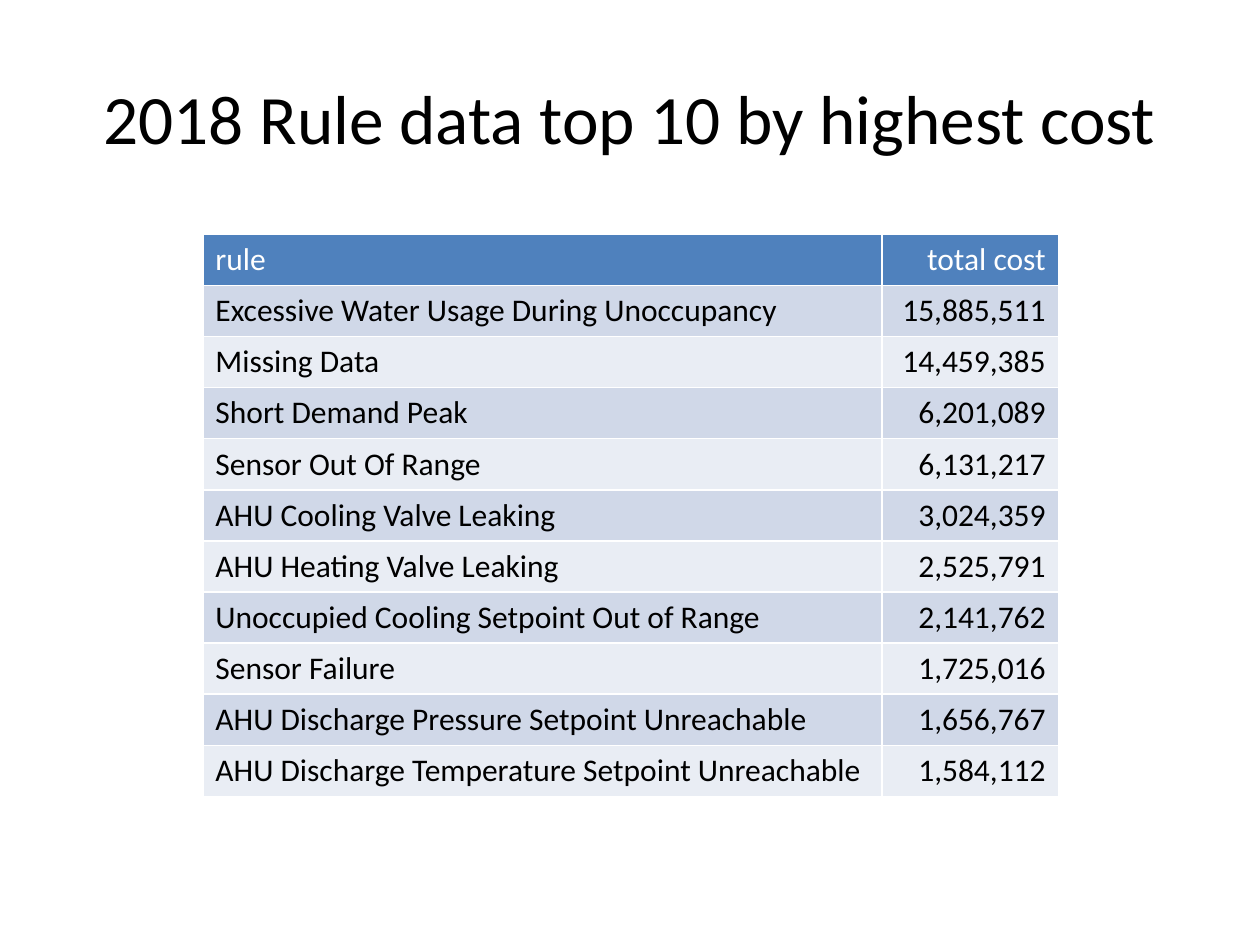
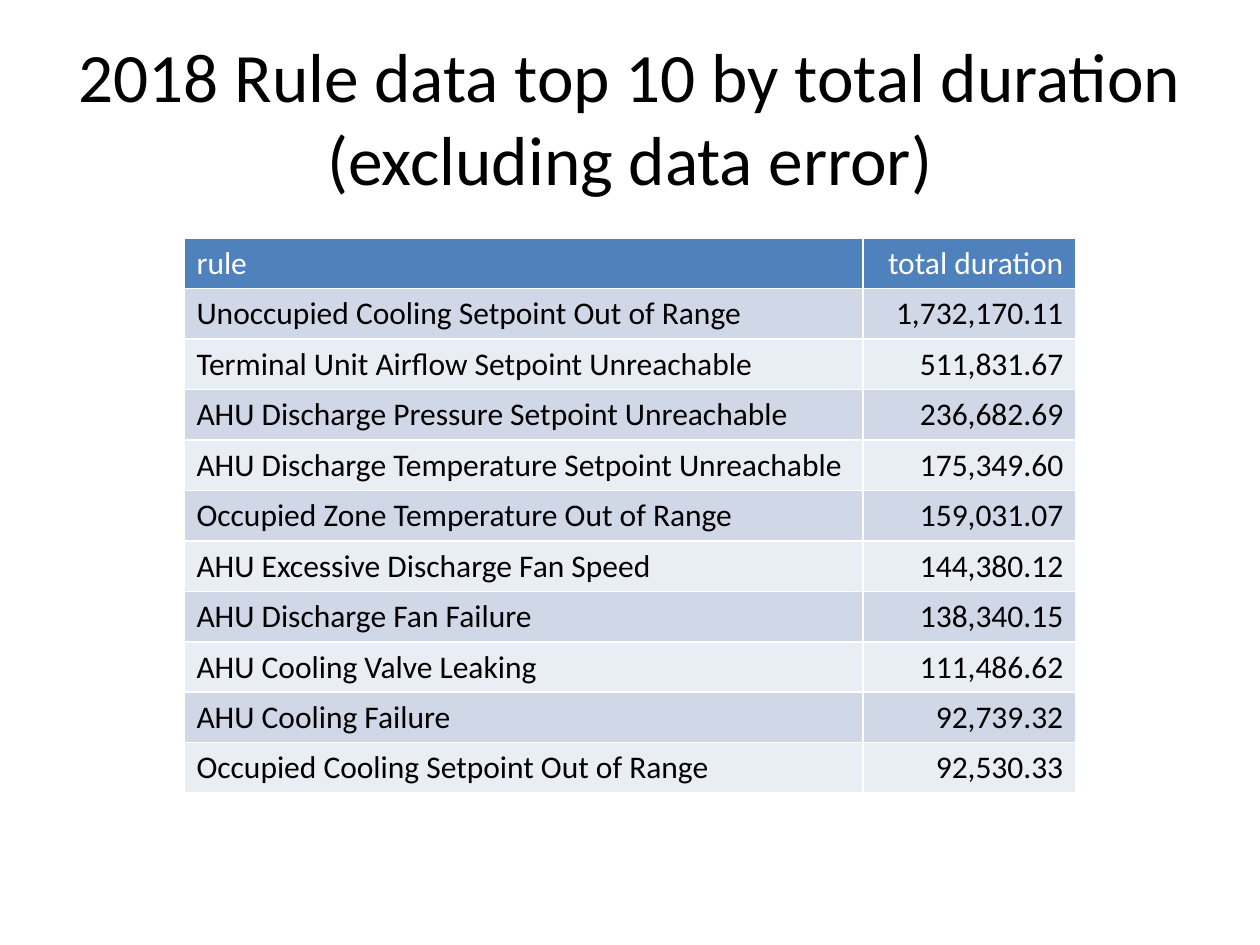
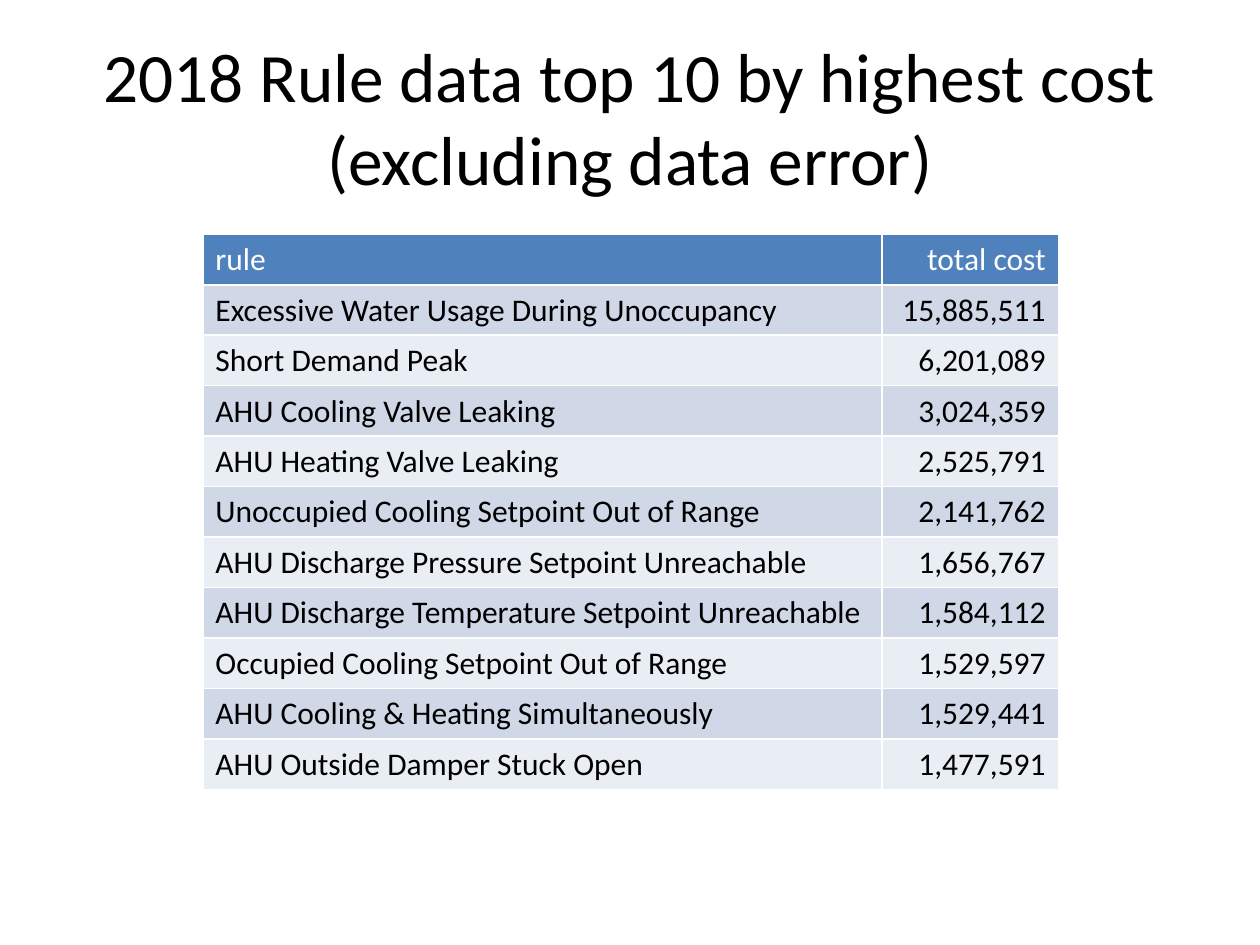
from pptx import Presentation
from pptx import util as u
from pptx.dml import color
from pptx.enum import text

FONT = "Calibri"
BLACK = color.RGBColor(0x00, 0x00, 0x00)
WHITE = color.RGBColor(0xFF, 0xFF, 0xFF)
HEADER_BLUE = color.RGBColor(0x4F, 0x81, 0xBD)
BAND_DARK = color.RGBColor(0xD0, 0xD8, 0xE8)
BAND_LIGHT = color.RGBColor(0xE9, 0xED, 0xF4)

RULE_WIDTH = 5.39
ROW_HEIGHT = 0.4

rankings = [
    ("2018 Rule data top 10 by highest cost", 1.61, 1.86, 1.4, [
        ("rule", "total cost"),
        ("Excessive Water Usage During Unoccupancy", "15,885,511"),
        ("Missing Data", "14,459,385"),
        ("Short Demand Peak", "6,201,089"),
        ("Sensor Out Of Range", "6,131,217"),
        ("AHU Cooling Valve Leaking", "3,024,359"),
        ("AHU Heating Valve Leaking", "2,525,791"),
        ("Unoccupied Cooling Setpoint Out of Range", "2,141,762"),
        ("Sensor Failure", "1,725,016"),
        ("AHU Discharge Pressure Setpoint Unreachable", "1,656,767"),
        ("AHU Discharge Temperature Setpoint Unreachable", "1,584,112"),
    ]),
    ("2018 Rule data top 10 by total duration (excluding data error)", 1.46, 1.89, 1.69, [
        ("rule", "total duration"),
        ("Unoccupied Cooling Setpoint Out of Range", "1,732,170.11"),
        ("Terminal Unit Airflow Setpoint Unreachable", "511,831.67"),
        ("AHU Discharge Pressure Setpoint Unreachable", "236,682.69"),
        ("AHU Discharge Temperature Setpoint Unreachable", "175,349.60"),
        ("Occupied Zone Temperature Out of Range", "159,031.07"),
        ("AHU Excessive Discharge Fan Speed", "144,380.12"),
        ("AHU Discharge Fan Failure", "138,340.15"),
        ("AHU Cooling Valve Leaking", "111,486.62"),
        ("AHU Cooling Failure", "92,739.32"),
        ("Occupied Cooling Setpoint Out of Range", "92,530.33"),
    ]),
    ("2018 Rule data top 10 by highest cost (excluding data error)", 1.61, 1.86, 1.4, [
        ("rule", "total cost"),
        ("Excessive Water Usage During Unoccupancy", "15,885,511"),
        ("Short Demand Peak", "6,201,089"),
        ("AHU Cooling Valve Leaking", "3,024,359"),
        ("AHU Heating Valve Leaking", "2,525,791"),
        ("Unoccupied Cooling Setpoint Out of Range", "2,141,762"),
        ("AHU Discharge Pressure Setpoint Unreachable", "1,656,767"),
        ("AHU Discharge Temperature Setpoint Unreachable", "1,584,112"),
        ("Occupied Cooling Setpoint Out of Range", "1,529,597"),
        ("AHU Cooling & Heating Simultaneously", "1,529,441"),
        ("AHU Outside Damper Stuck Open", "1,477,591"),
    ]),
]


def write_paragraph(frame, content, size, font_color, alignment):
    paragraph = frame.paragraphs[0]
    paragraph.text = content
    paragraph.alignment = alignment
    paragraph.font.name = FONT
    paragraph.font.size = u.Pt(size)
    paragraph.font.bold = False
    paragraph.font.color.rgb = font_color


presentation = Presentation()
presentation.slide_width = u.Inches(10)
presentation.slide_height = u.Inches(7.5)

for title, left, top, value_width, rows in rankings:
    slide = presentation.slides.add_slide(presentation.slide_layouts[6])

    table = slide.shapes.add_table(
        len(rows), 2, u.Inches(left), u.Inches(top),
        u.Inches(RULE_WIDTH + value_width), u.Inches(ROW_HEIGHT * len(rows))).table
    table.columns[0].width = u.Inches(RULE_WIDTH)
    table.columns[1].width = u.Inches(value_width)
    for row_index, row in enumerate(rows):
        if row_index == 0:
            fill_color, font_color = HEADER_BLUE, WHITE
        else:
            fill_color = BAND_DARK if row_index % 2 else BAND_LIGHT
            font_color = BLACK
        for column_index, content in enumerate(row):
            cell = table.cell(row_index, column_index)
            cell.fill.solid()
            cell.fill.fore_color.rgb = fill_color
            alignment = text.PP_ALIGN.RIGHT if column_index else text.PP_ALIGN.LEFT
            write_paragraph(cell.text_frame, content, 18, font_color, alignment)

    title_frame = slide.shapes.add_textbox(
        u.Inches(0.5), u.Inches(0.3), u.Inches(9), u.Inches(1.25)).text_frame
    title_frame.word_wrap = True
    title_frame.vertical_anchor = text.MSO_ANCHOR.MIDDLE
    write_paragraph(title_frame, title, 39.6, BLACK, text.PP_ALIGN.CENTER)

presentation.save("out.pptx")
